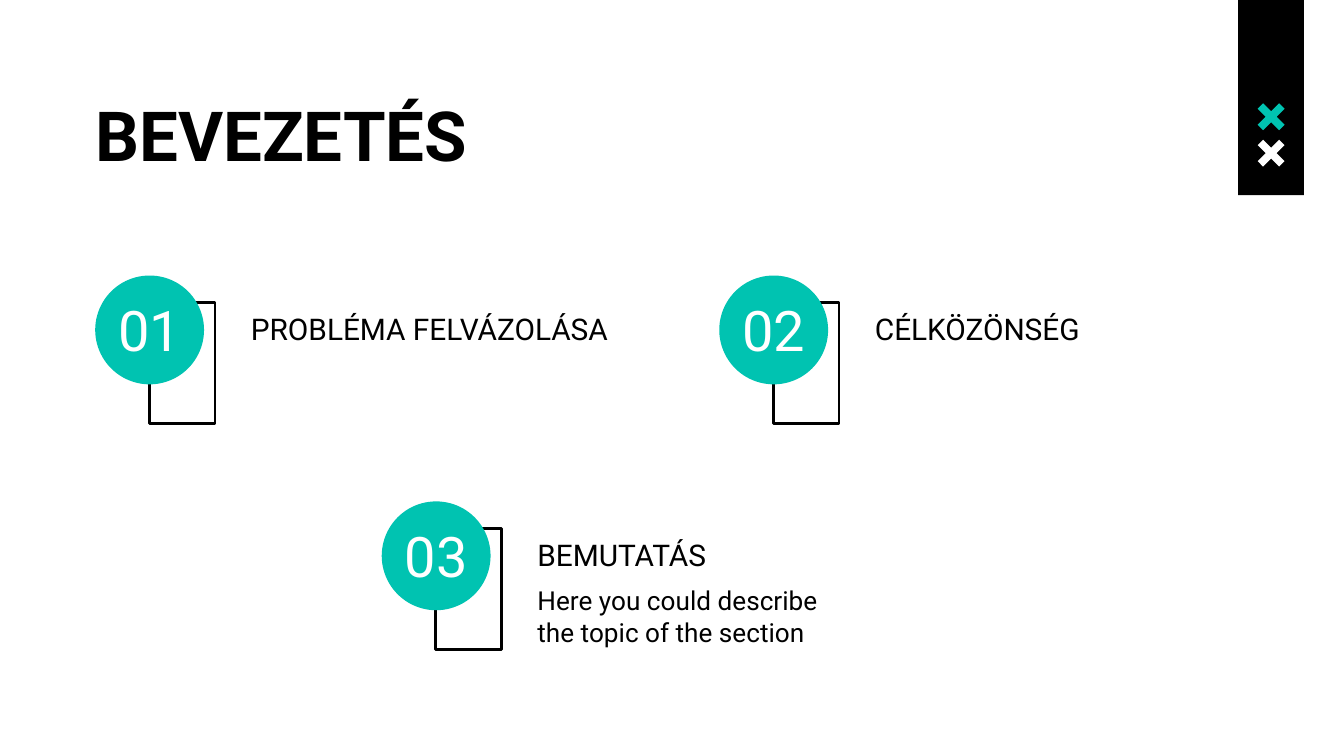
import pptx
import pptx.util
import pptx.dml.color
import pptx.enum.shapes
import pptx.enum.text
import pptx.oxml.xmlchemy

Pt = pptx.util.Pt
RGB = pptx.dml.color.RGBColor
Shape = pptx.enum.shapes.MSO_SHAPE
Align = pptx.enum.text.PP_ALIGN
Anchor = pptx.enum.text.MSO_ANCHOR

BLACK = RGB(0x00, 0x00, 0x00)
WHITE = RGB(0xFF, 0xFF, 0xFF)
TEAL = RGB(0x00, 0xC3, 0xB1)


def paint(shape, fill=None, line=None):
    shape.shadow.inherit = False
    if fill is None:
        shape.fill.background()
    else:
        shape.fill.solid()
        shape.fill.fore_color.rgb = fill
    if line is None:
        shape.line.fill.background()
    else:
        shape.line.color.rgb = line
        shape.line.width = Pt(1.5)


def write(shape, box, lines, size, color=BLACK, bold=False,
          align=Align.LEFT, anchor=Anchor.MIDDLE):
    shape.left, shape.top, shape.width, shape.height = [Pt(v) for v in box]
    frame = shape.text_frame
    frame.word_wrap = True
    frame.auto_size = pptx.enum.text.MSO_AUTO_SIZE.NONE
    frame.vertical_anchor = anchor
    frame.margin_left = frame.margin_right = Pt(7.2)
    frame.margin_top = frame.margin_bottom = Pt(7.2)
    for i, line in enumerate(lines):
        para = frame.add_paragraph() if i else frame.paragraphs[0]
        para.alignment = align
        para.space_before = para.space_after = Pt(0)
        # No bullet and no hanging indent
        props = para._p.get_or_add_pPr()
        props.set("marL", "0")
        props.set("indent", "0")
        props.append(pptx.oxml.xmlchemy.OxmlElement("a:buNone"))
        run = para.add_run()
        run.text = line
        run.font.name = "Roboto"
        run.font.size = Pt(size)
        run.font.bold = bold
        run.font.color.rgb = color


deck = pptx.Presentation()
deck.slide_width, deck.slide_height = Pt(720), Pt(405)

# Comparison layout: a title and four text bodies
slide = deck.slides.add_slide(deck.slide_layouts[4])
shapes = slide.shapes
title, *bodies = slide.placeholders
slide.background.fill.solid()
slide.background.fill.fore_color.rgb = WHITE

# Corner banner with two crosses
banner = shapes.add_shape(Shape.RECTANGLE, Pt(663.3), Pt(0), Pt(35.3), Pt(104.6))
paint(banner, BLACK)
CROSS = [(2.9, 0), (0, 2.9), (4.3, 7.2), (0, 11.5), (2.9, 14.4), (7.2, 10.1),
         (11.5, 14.4), (14.4, 11.5), (10.1, 7.2), (14.4, 2.9), (11.5, 0), (7.2, 4.3)]
for top, color in ((55.4, TEAL), (74.9, WHITE)):
    spots = [(Pt(673.8 + x), Pt(top + y)) for x, y in CROSS]
    pen = shapes.build_freeform(*spots[0])
    pen.add_line_segments(spots[1:], close=True)
    paint(pen.convert_to_shape(), color)

# Heading
write(title, (43.9, 42.5, 638, 56.9), ["BEVEZETÉS"], 37, bold=True, anchor=Anchor.TOP)

# Numbered topics: frame, disc, number, label
TOPICS = [
    (51, 147.6, 221.8, "PROBLÉMA FELVÁZOLÁSA"),
    (385.3, 147.6, 209.5, "CÉLKÖZÖNSÉG"),
    (204.5, 268.6, 209.5, "BEMUTATÁS"),
]
for i, (left, top, width, label) in enumerate(TOPICS):
    frame = shapes.add_shape(Shape.RECTANGLE, Pt(left + 28.9), Pt(top + 14.4),
                             Pt(35.3), Pt(64.8))
    paint(frame, line=BLACK)
    disc = shapes.add_shape(Shape.OVAL, Pt(left), Pt(top), Pt(58.3), Pt(58.3))
    paint(disc, TEAL)
    number = shapes.add_textbox(0, 0, 0, 0)
    write(number, (left, top + 7.2, 58.3, 43.2), [f"{i + 1:02}"], 30, WHITE,
          align=Align.CENTER)
    write(bodies[i], (left + 76.2, top + 14.4, width, 28.1), [label], 16)

# Description under the last topic
write(bodies[3], (280.7, 306, 209.5, 50.4),
      ["Here you could describe", "the topic of the section"], 14, anchor=Anchor.TOP)

deck.save("out.pptx")
